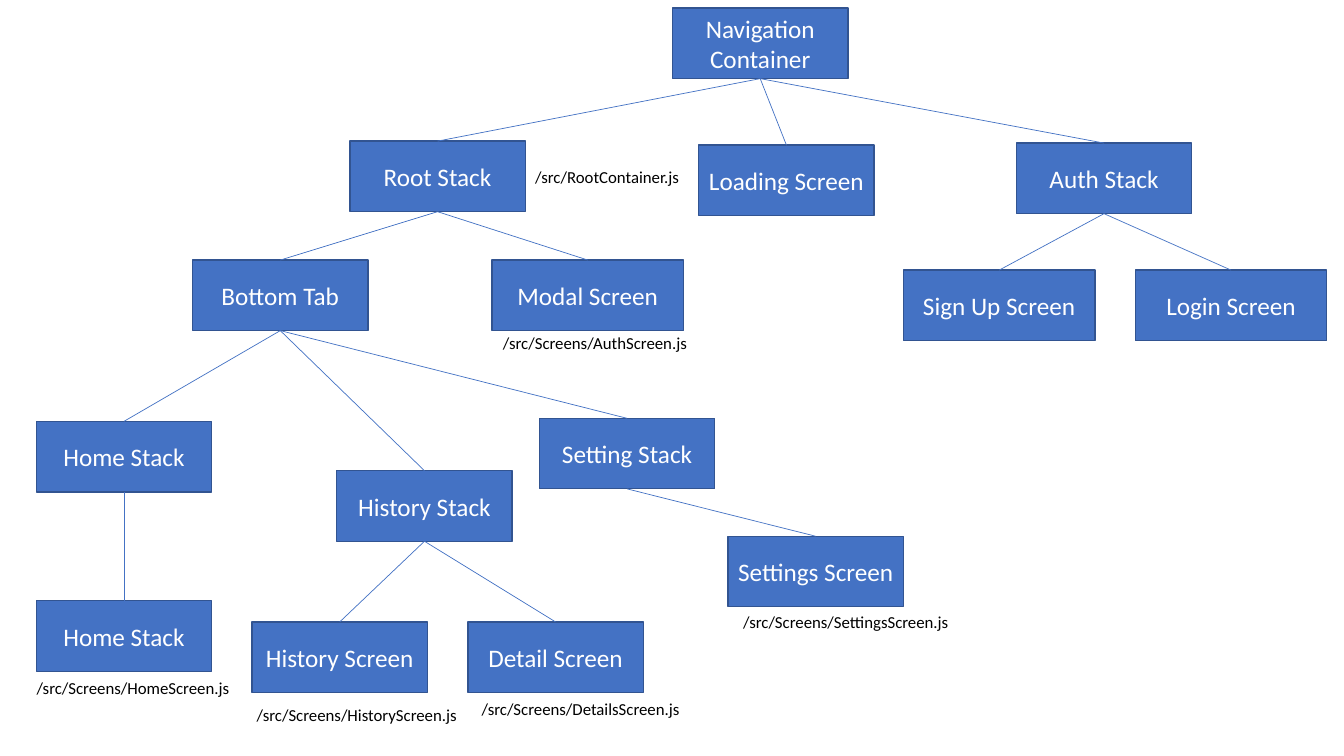
from lxml import etree
from pptx import Presentation
from pptx.dml.color import RGBColor
from pptx.enum import shapes, text
from pptx.oxml.ns import qn
from pptx.util import Inches, Pt


def paint(target, color):
    target.solid()
    target.fore_color.rgb = RGBColor.from_string(color)


def write(box, words, size, color, align):
    frame = box.text_frame
    frame.word_wrap = True
    frame.text = words
    para = frame.paragraphs[0]
    para.alignment = align
    font = para.runs[0].font
    font.name = "Calibri"
    font.size = Pt(size)
    paint(font.fill, color)


LEFT, CENTER = text.PP_ALIGN.LEFT, text.PP_ALIGN.CENTER
NARROW, WIDE, HEIGHT = 1.74, 1.9, 0.7

nodes = {
    "navigation": ("Navigation Container", 6.67, 0.08, NARROW, None),
    "root": ("Root Stack", 3.47, 1.4, NARROW, "navigation"),
    "loading": ("Loading Screen", 6.93, 1.44, NARROW, "navigation"),
    "auth": ("Auth Stack", 10.08, 1.42, NARROW, "navigation"),
    "tab": ("Bottom Tab", 1.91, 2.58, NARROW, "root"),
    "modal": ("Modal Screen", 4.88, 2.58, WIDE, "root"),
    "sign up": ("Sign Up Screen", 8.96, 2.68, WIDE, "auth"),
    "login": ("Login Screen", 11.26, 2.68, WIDE, "auth"),
    "home": ("Home Stack", 0.36, 4.18, NARROW, "tab"),
    "history": ("History Stack", 3.34, 4.67, NARROW, "tab"),
    "setting": ("Setting Stack", 5.35, 4.15, NARROW, "tab"),
    "home screen": ("Home Stack", 0.36, 5.96, NARROW, "home"),
    "history screen": ("History Screen", 2.5, 6.17, NARROW, "history"),
    "detail screen": ("Detail Screen", 4.64, 6.17, NARROW, "history"),
    "settings screen": ("Settings Screen", 7.22, 5.32, NARROW, "setting"),
}

file_labels = [
    ("/src/RootContainer.js", 5.21, 1.61, 1.9, LEFT),
    ("/src/Screens/AuthScreen.js", 4.89, 3.25, 2.06, LEFT),
    ("/src/Screens/SettingsScreen.js", 7.22, 6.02, 2.34, CENTER),
    ("/src/Screens/DetailsScreen.js", 4.59, 6.88, 2.34, CENTER),
    ("/src/Screens/HistoryScreen.js", 2.37, 6.94, 2.34, CENTER),
    ("/src/Screens/HomeScreen.js", 0.15, 6.67, 2.34, CENTER),
]

deck = Presentation()
deck.slide_width = Inches(13.33)
deck.slide_height = Inches(7.5)
page = deck.slides.add_slide(deck.slide_layouts[6])

boxes = {}
for key, (words, left, top, width, parent) in nodes.items():
    box = page.shapes.add_shape(
        shapes.MSO_SHAPE.RECTANGLE,
        Inches(left), Inches(top), Inches(width), Inches(HEIGHT))
    box.shadow.inherit = False
    paint(box.fill, "4472C4")
    paint(box.line.fill, "325491")
    box.line.width = Pt(1)
    box.text_frame.margin_left = box.text_frame.margin_right = Inches(0.05)
    box.text_frame.vertical_anchor = text.MSO_ANCHOR.MIDDLE
    write(box, words, 18, "FFFFFF", CENTER)
    boxes[key] = box

    if parent:
        branch = page.shapes.add_connector(shapes.MSO_CONNECTOR.STRAIGHT, 0, 0, 0, 0)
        branch.begin_connect(boxes[parent], 2)
        branch.end_connect(box, 0)
        paint(branch.line.fill, "4472C4")
        branch.line.width = Pt(0.5)
        etree.SubElement(branch.element.spPr, qn("a:effectLst"))

for words, left, top, width, align in file_labels:
    label = page.shapes.add_textbox(
        Inches(left), Inches(top), Inches(width), Inches(0.3))
    write(label, words, 12, "000000", align)
    label.text_frame.auto_size = text.MSO_AUTO_SIZE.SHAPE_TO_FIT_TEXT

deck.save("out.pptx")
